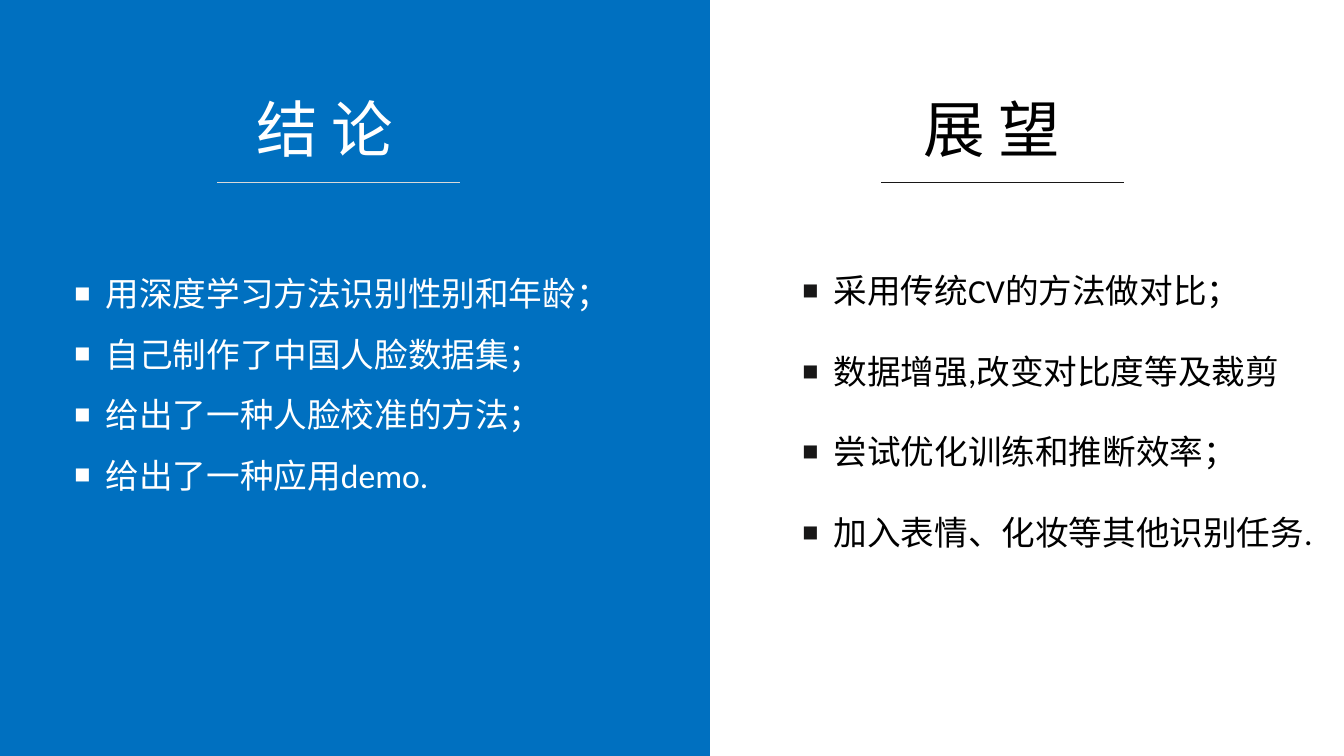
from lxml import etree
from pptx import Presentation
from pptx.dml.color import RGBColor
from pptx.enum import shapes, text
from pptx.oxml.ns import qn
from pptx.util import Inches, Pt

CJK = "Noto Sans CJK SC"
BLUE, WHITE, BLACK, GREY, INK = "0070C0", "FFFFFF", "000000", "D9D9D9", "181717"


def rgb(value):
    return RGBColor.from_string(value)


def write(box, lines, size, color, font, wrap=True, spacing=1.0, bullet=None):
    frame = box.text_frame
    frame.word_wrap = wrap
    frame.auto_size = text.MSO_AUTO_SIZE.SHAPE_TO_FIT_TEXT
    frame.vertical_anchor = text.MSO_ANCHOR.TOP
    for i, line in enumerate(lines):
        para = frame.add_paragraph() if i else frame.paragraphs[0]
        para.alignment = text.PP_ALIGN.LEFT
        para.line_spacing = spacing
        if bullet:
            props = para._p.get_or_add_pPr()
            props.set("marL", str(Inches(0.31)))
            props.set("indent", str(Inches(-0.31)))
            tint = etree.SubElement(props, qn("a:buClr"))
            etree.SubElement(tint, qn("a:srgbClr"), val=bullet)
            etree.SubElement(props, qn("a:buSzPct"), val="80000")
            etree.SubElement(props, qn("a:buFont"), typeface="Arial")
            etree.SubElement(props, qn("a:buChar"), char="■")
        span = para.add_run()
        span.text = line
        span.font.size = Pt(size)
        span.font.name = font
        span.font.color.rgb = rgb(color)
        etree.SubElement(span._r.get_or_add_rPr(), qn("a:ea"), typeface=CJK)


deck = Presentation()
deck.slide_width, deck.slide_height = Inches(13.33), Inches(7.5)
page = deck.slides.add_slide(deck.slide_layouts[5])

# Blue left half, placed behind the title
panel = page.shapes.add_shape(shapes.MSO_SHAPE.RECTANGLE, 0, 0, Inches(7.04), Inches(7.5))
panel.shadow.inherit = False
panel.fill.solid()
panel.fill.fore_color.rgb = rgb(BLUE)
panel.line.color.rgb = rgb(BLUE)
panel.line.width = Pt(1)
page.shapes._spTree.insert(2, panel._element)

# Headings
conclusion = page.shapes.title
outlook = page.shapes.add_textbox(0, 0, 0, 0)
for heading, words, left, color in [(conclusion, "结 论", 2.44, WHITE),
                                    (outlook, "展 望", 9.06, BLACK)]:
    heading.left, heading.top = Inches(left), Inches(0.85)
    heading.width, heading.height = Inches(1.74), Inches(0.84)
    write(heading, [words], 44, color, CJK, wrap=False)

# Rules under the headings
for left, color in [(2.15, GREY), (8.74, INK)]:
    rule = page.shapes.add_connector(shapes.MSO_CONNECTOR.STRAIGHT, Inches(left),
                                     Inches(1.81), Inches(left + 2.41), Inches(1.81))
    rule.line.color.rgb = rgb(color)
    rule.line.width = Pt(1)
    etree.SubElement(rule._element.spPr, qn("a:effectLst"))

# Bullet lists
conclusions = ["用深度学习方法识别性别和年龄；", "自己制作了中国人脸数据集；",
               "给出了一种人脸校准的方法；", "给出了一种应用demo."]
plans = ["采用传统CV的方法做对比；", "数据增强,改变对比度等及裁剪",
         "尝试优化训练和推断效率；", "加入表情、化妆等其他识别任务."]
for lines, left, top, height, spacing, color, bullet in [
        (conclusions, 0.64, 2.46, 2.52, 1.5, WHITE, WHITE),
        (plans, 7.86, 2.23, 3.33, 2.0, BLACK, INK)]:
    box = page.shapes.add_textbox(Inches(left), Inches(top), Inches(5.9), Inches(height))
    write(box, lines, 24, color, "Calibri", spacing=spacing, bullet=bullet)

deck.save("out.pptx")
